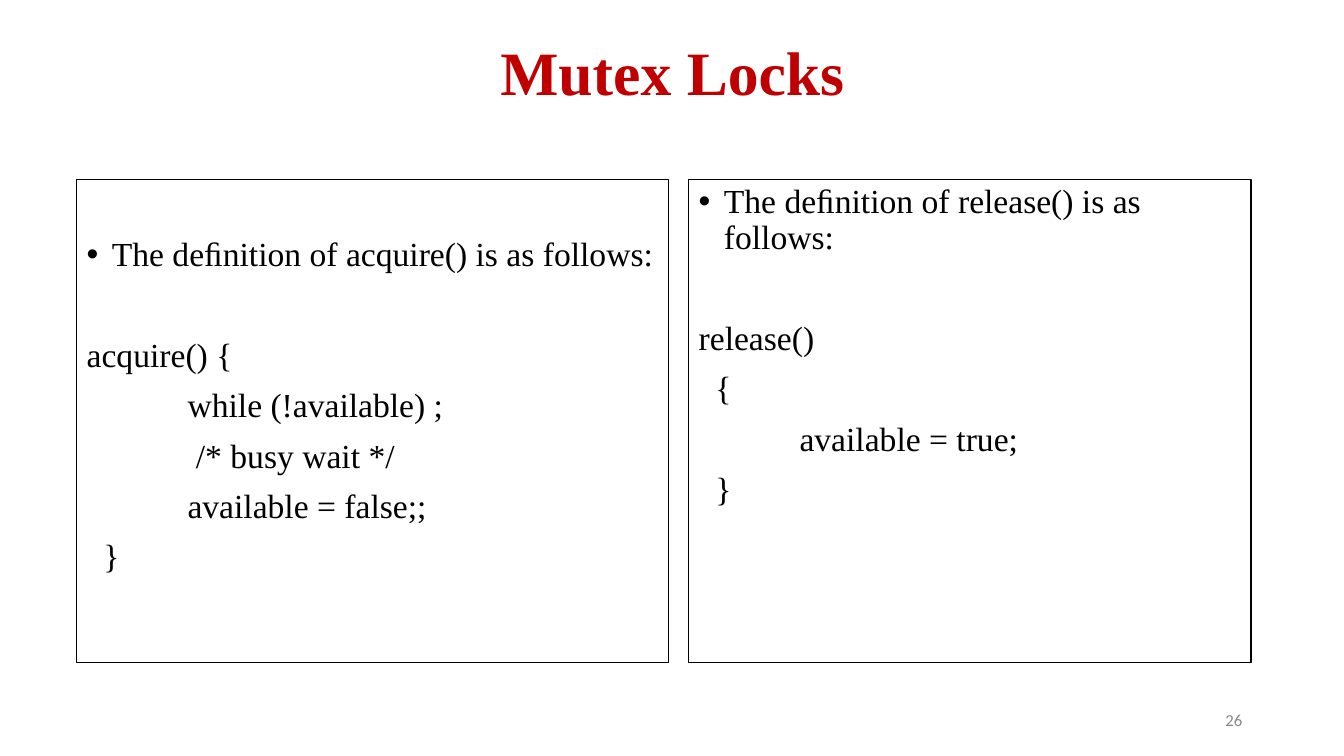
from lxml.etree import SubElement as Sub
from pptx import Presentation
from pptx.dml.color import RGBColor as Rgb
from pptx.enum.text import MSO_ANCHOR as Anchor, MSO_AUTO_SIZE as Fit, PP_ALIGN as Align
from pptx.oxml.ns import qn
from pptx.util import Inches, Pt

COLORS = {"title": "C00000", "ink": "000000", "paper": "FFFFFF", "page": "888888"}
SERIF = "Times New Roman"
LEAD = 10
GAP = 46

ACQUIRE = [
    ("The deﬁnition of acquire() is as follows:", "bullet", 0),
    ("acquire() {", "code", GAP),
    ("while (!available) ;", "inner", LEAD),
    (" /* busy wait */", "inner", LEAD),
    ("available = false;;", "inner", LEAD),
    ("  }", "code", LEAD),
]
RELEASE = [
    ("The deﬁnition of release() is as follows:", "bullet", 0),
    ("release()", "code", GAP),
    ("  {", "code", LEAD),
    ("available = true;", "inner", LEAD),
    ("  }", "code", LEAD),
]
INDENTS = {"bullet": (0.25, -0.25), "code": (0, 0), "inner": (1, 0)}


def color(name):
    return Rgb.from_string(COLORS[name])


def write(para, text, size=24, font=SERIF, ink="ink", bold=False,
          align=Align.LEFT, lead=0, style=None):
    if style:
        left, hang = INDENTS[style]
        props = para._p.get_or_add_pPr()
        props.set("marL", str(Inches(left)))
        props.set("indent", str(Inches(hang)))
        if style == "bullet":
            Sub(Sub(props, qn("a:buClr")), qn("a:srgbClr")).set("val", COLORS["ink"])
            Sub(props, qn("a:buFont")).set("typeface", "Arial")
            Sub(props, qn("a:buChar")).set("char", "•")
        else:
            Sub(props, qn("a:buNone"))
    para.alignment = align
    para.line_spacing = 0.9
    para.space_before = Pt(lead)
    run = para.add_run()
    run.text = text
    run.font.size = Pt(size)
    run.font.name = font
    run.font.bold = bold
    run.font.color.rgb = color(ink)


def place(shape, box, anchor=Anchor.MIDDLE, top=0.05):
    shape.left, shape.top, shape.width, shape.height = map(Inches, box)
    frame = shape.text_frame
    frame.word_wrap = True
    frame.auto_size = Fit.NONE
    frame.vertical_anchor = anchor
    frame.margin_left = frame.margin_right = Inches(0.1)
    frame.margin_top, frame.margin_bottom = Inches(top), Inches(0.05)
    return frame


def add_title(shape, box):
    frame = place(shape, box)
    write(frame.paragraphs[0], "Mutex Locks", size=44, ink="title",
          bold=True, align=Align.CENTER)


def add_panel(shape, box, lines, top=0.05):
    frame = place(shape, box, Anchor.TOP, top)
    shape.fill.solid()
    shape.fill.fore_color.rgb = color("paper")
    shape.line.color.rgb = color("ink")
    shape.line.width = Pt(1)
    for i, (text, style, lead) in enumerate(lines):
        para = frame.add_paragraph() if i else frame.paragraphs[0]
        write(para, text, style=style, lead=lead)


def add_page(slide, box):
    shape = slide.shapes.add_textbox(*map(Inches, box))
    frame = place(shape, box)
    write(frame.paragraphs[0], "26", size=12, font="Calibri", ink="page",
          align=Align.RIGHT)


def main():
    deck = Presentation()
    deck.slide_width, deck.slide_height = Inches(13.33), Inches(7.5)
    slide = deck.slides.add_slide(deck.slide_layouts[3])
    title, left, right = slide.placeholders
    add_title(title, (0.92, 0.02, 11.5, 1.45))
    add_panel(left, (0.76, 1.78, 5.87, 4.79), ACQUIRE, top=0.58)
    add_panel(right, (6.83, 1.78, 5.58, 4.79), RELEASE)
    add_page(slide, (9.42, 6.95, 3, 0.4))
    deck.save("out.pptx")


if __name__ == "__main__":
    main()
